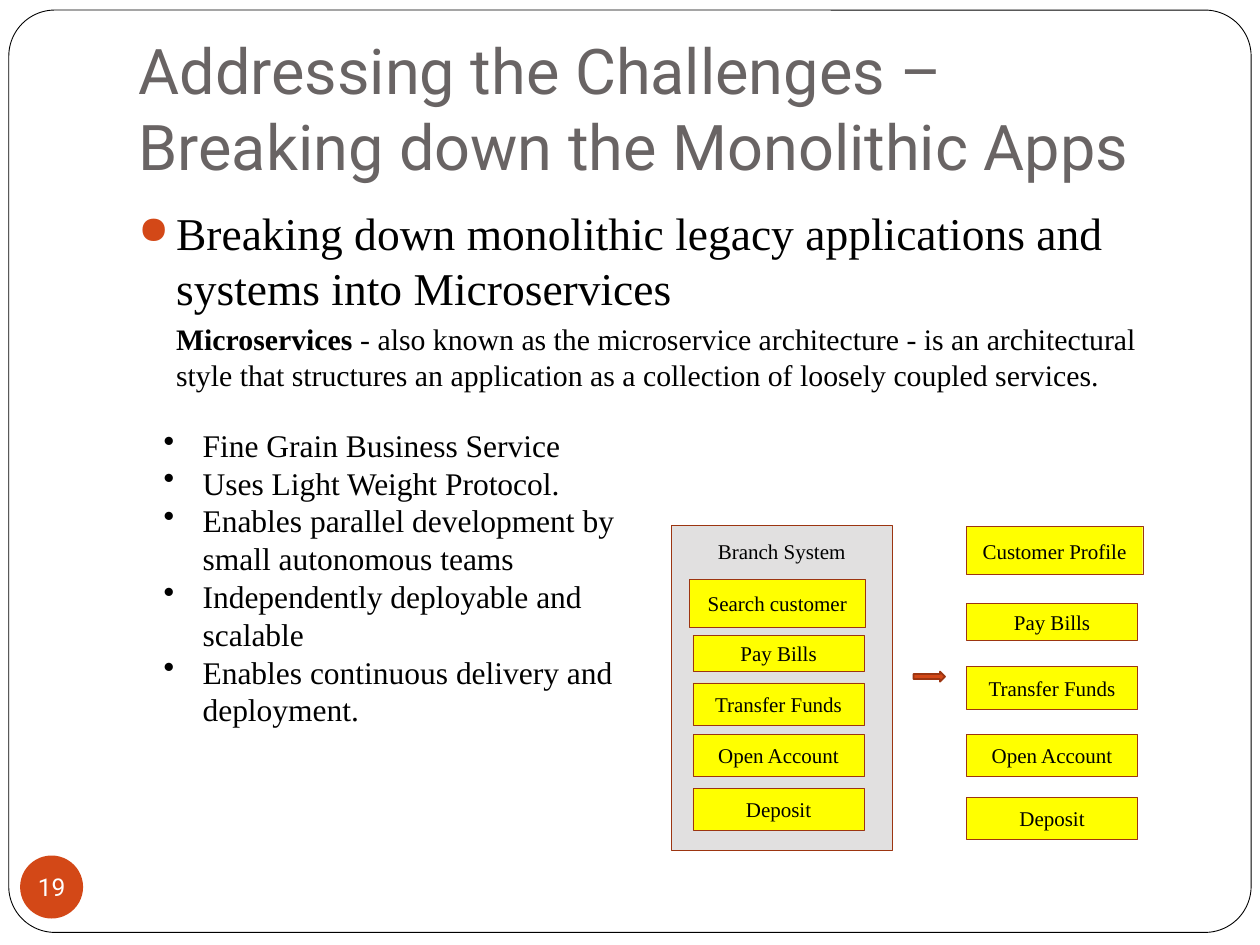
from dataclasses import dataclass

from lxml.etree import SubElement
from pptx import Presentation
from pptx.dml.color import RGBColor
from pptx.enum.shapes import MSO_SHAPE
from pptx.enum.text import MSO_ANCHOR, MSO_AUTO_SIZE, PP_ALIGN
from pptx.oxml.ns import qn
from pptx.util import Inches, Pt


@dataclass(frozen=True)
class Theme:
    heading_font: str = "Roboto"
    body_font: str = "Times New Roman"
    title_size: float = 36
    lead_size: float = 26
    definition_size: float = 17
    benefit_size: float = 18
    service_size: float = 12
    number_size: float = 14
    grey: str = "696464"
    black: str = "000000"
    white: str = "FFFFFF"
    orange: str = "D34817"
    rust: str = "9C3511"
    panel: str = "E1E0E0"
    yellow: str = "FFFF00"


THEME = Theme()
SERVICES = ["Pay Bills", "Transfer Funds", "Open Account", "Deposit"]
SERVICE_HEIGHTS = [0.38, 0.29, 0.34, 0.33, 0.33]
BENEFITS = [
    "Fine Grain Business Service",
    "Uses Light Weight Protocol.",
    "Enables parallel development by small autonomous teams",
    "Independently deployable and scalable",
    "Enables continuous delivery and deployment.",
]


def apply(target, values):
    for name, value in values.items():
        setattr(target, name, value)


def place(box):
    return [Inches(length) for length in box]


def write(paragraph, text, size, color=THEME.black, font=THEME.body_font, bold=False):
    run = paragraph.add_run()
    run.text = text
    apply(run.font, {"name": font, "size": Pt(size), "bold": bold})
    run.font.color.rgb = RGBColor.from_string(color)


def indent(paragraph, left, first, bullet=None, color=None, percent=100):
    properties = paragraph._p.get_or_add_pPr()
    properties.set("marL", str(Inches(left)))
    properties.set("indent", str(Inches(first)))
    if color:
        SubElement(SubElement(properties, qn("a:buClr")), qn("a:srgbClr"), val=color)
    if bullet:
        SubElement(properties, qn("a:buSzPct"), val=str(percent * 1000))
        SubElement(properties, qn("a:buChar"), char=bullet)
    else:
        SubElement(properties, qn("a:buNone"))


def add_block(slide, kind, box, fill, line=None, width=0.25):
    block = slide.shapes.add_shape(kind, *place(box))
    block.shadow.inherit = False
    block.fill.solid()
    block.fill.fore_color.rgb = RGBColor.from_string(fill)
    if line:
        block.line.color.rgb = RGBColor.from_string(line)
        block.line.width = Pt(width)
    else:
        block.line.fill.background()
    return block


def label(block, text, size, anchor=MSO_ANCHOR.MIDDLE, margins=None, **style):
    apply(block.text_frame, {"vertical_anchor": anchor, "word_wrap": True, **(margins or {})})
    caption = block.text_frame.paragraphs[0]
    caption.alignment = PP_ALIGN.CENTER
    write(caption, text, size, **style)


def add_text(slide, box):
    frame = slide.shapes.add_textbox(*place(box)).text_frame
    frame.word_wrap = True
    return frame


def add_title(slide, box):
    title = slide.shapes.title
    apply(title, dict(zip(("left", "top", "width", "height"), place(box))))
    apply(title.text_frame, {
        "vertical_anchor": MSO_ANCHOR.BOTTOM,
        "auto_size": MSO_AUTO_SIZE.NONE,
        "word_wrap": True,
        "margin_bottom": Inches(0.1),
    })
    heading = title.text_frame.paragraphs[0]
    heading.alignment = PP_ALIGN.LEFT
    write(heading, "Addressing the Challenges – Breaking down the Monolithic Apps",
          THEME.title_size, THEME.grey, THEME.heading_font)


def add_border(slide, box):
    border = add_block(slide, MSO_SHAPE.ROUNDED_RECTANGLE, box, THEME.white, THEME.black, 0.5)
    border.adjustments[0] = 0.05
    slide.shapes.title.element.addprevious(border.element)


def add_slide_number(slide, box):
    badge = add_block(slide, MSO_SHAPE.OVAL, box, THEME.orange)
    margins = {f"margin_{side}": 0 for side in ("left", "top", "right", "bottom")}
    label(badge, "19", THEME.number_size, margins={**margins, "word_wrap": False},
          color=THEME.white, font=THEME.heading_font)


def add_introduction(slide, box):
    frame = add_text(slide, box)
    lead = frame.paragraphs[0]
    lead.space_before = Pt(5.8)
    indent(lead, 0.3, -0.3, "●", THEME.orange, 85)
    write(lead, "Breaking down monolithic legacy applications and systems into Microservices",
          THEME.lead_size)
    definition = frame.add_paragraph()
    definition.space_before = Pt(3.7)
    indent(definition, 0.3, 0)
    write(definition, "Microservices", THEME.definition_size, bold=True)
    write(definition, " - also known as the microservice architecture - is an architectural "
          "style that structures an application as a collection of loosely coupled services.",
          THEME.definition_size)


def add_benefits(slide, box):
    frame = add_text(slide, box)
    for index, benefit in enumerate(BENEFITS):
        item = frame.add_paragraph() if index else frame.paragraphs[0]
        indent(item, 0.81, -0.31, "•")
        write(item, benefit, THEME.benefit_size)


def add_services(slide, left, top, first_service, offsets, first_shift=0):
    names = [first_service, *SERVICES]
    for index, (name, offset, height) in enumerate(zip(names, offsets, SERVICE_HEIGHTS)):
        shift, width = (0, 1.36) if index else (first_shift, 1.4)
        service = add_block(slide, MSO_SHAPE.RECTANGLE,
                            (left + shift, top + offset, width, height),
                            THEME.yellow, THEME.rust)
        label(service, name, THEME.service_size)


def add_decomposition(slide, box):
    left, top, width, height = box
    branch = add_block(slide, MSO_SHAPE.RECTANGLE, (left, top, 1.75, height),
                       THEME.panel, THEME.rust, 0.5)
    label(branch, "Branch System", THEME.service_size, MSO_ANCHOR.TOP,
          {"margin_top": Inches(0.1)})
    add_services(slide, left + 0.17, top, "Search customer",
                 [0.43, 0.87, 1.25, 1.66, 2.09], -0.03)
    add_services(slide, left + width - 1.4, top, "Customer Profile",
                 [0.01, 0.62, 1.12, 1.66, 2.16])
    add_block(slide, MSO_SHAPE.RIGHT_ARROW, (left + 1.92, top + 1.16, 0.25, 0.08),
              THEME.orange, THEME.rust, 1)


def main():
    deck = Presentation()
    deck.slide_width, deck.slide_height = Inches(10), Inches(7.5)
    slide = deck.slides.add_slide(deck.slide_layouts[5])
    add_title(slide, (1, 0.3, 8.5, 1.25))
    add_border(slide, (0.07, 0.08, 9.86, 7.32))
    add_slide_number(slide, (0.16, 6.79, 0.5, 0.5))
    add_introduction(slide, (1, 1.58, 8.5, 5))
    add_benefits(slide, (0.7, 3.33, 4.5, 2.26))
    add_decomposition(slide, (5.33, 4.17, 3.74, 2.58))
    deck.save("out.pptx")


if __name__ == "__main__":
    main()
